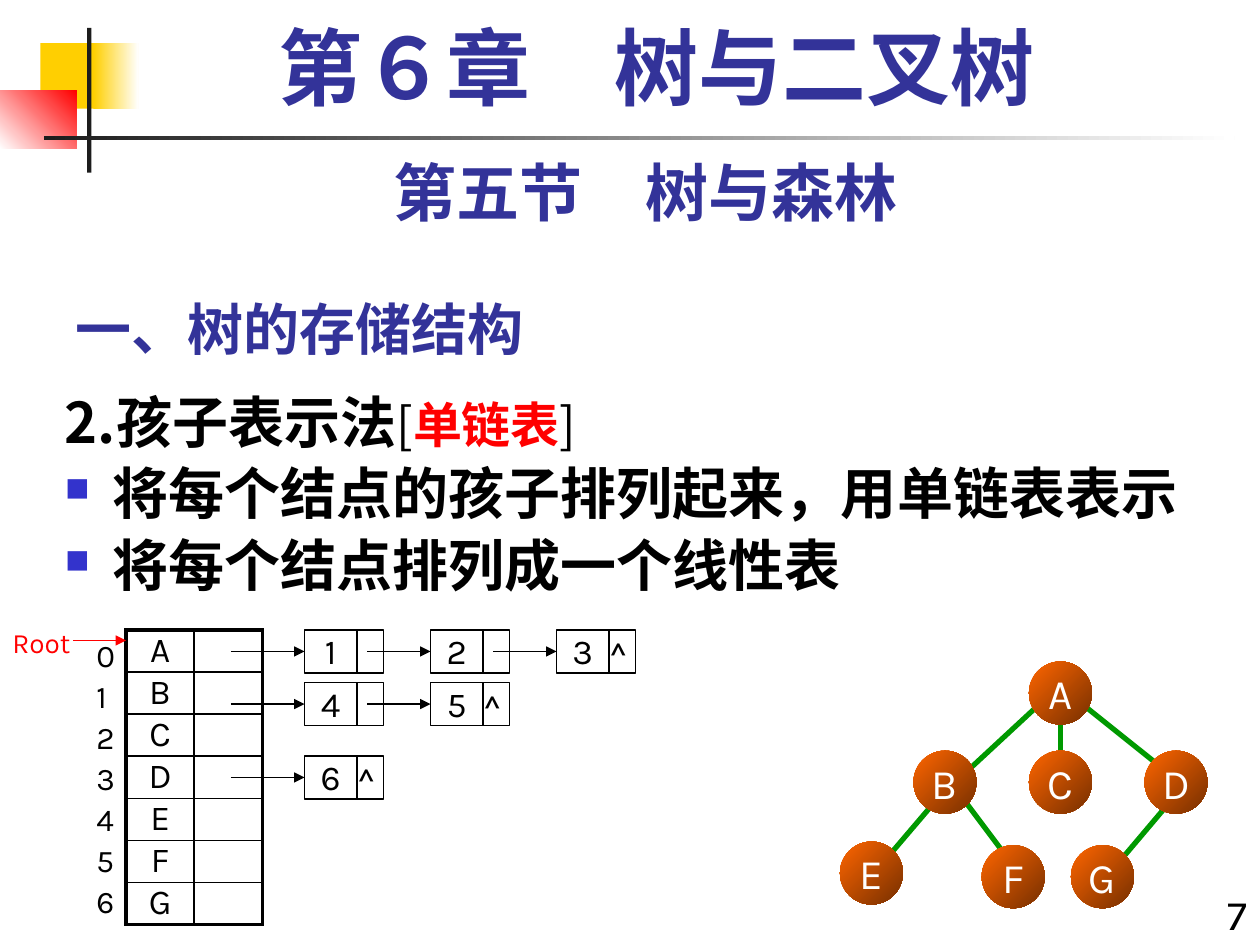
from dataclasses import dataclass
from lxml import etree
from pptx import Presentation
from pptx.dml.color import RGBColor
from pptx.enum.shapes import MSO_CONNECTOR, MSO_SHAPE
from pptx.enum.text import MSO_ANCHOR, MSO_AUTO_SIZE, PP_ALIGN
from pptx.oxml.ns import qn
from pptx.util import Emu, Inches, Pt

RECTANGLE, OVAL = MSO_SHAPE.RECTANGLE, MSO_SHAPE.OVAL
STRAIGHT = MSO_CONNECTOR.STRAIGHT
LEFT, CENTER, RIGHT = PP_ALIGN.LEFT, PP_ALIGN.CENTER, PP_ALIGN.RIGHT
TOP, MIDDLE, BOTTOM = MSO_ANCHOR.TOP, MSO_ANCHOR.MIDDLE, MSO_ANCHOR.BOTTOM
GROW = MSO_AUTO_SIZE.SHAPE_TO_FIT_TEXT
LEFT_SIDE = 1

BLACK, WHITE = RGBColor(0, 0, 0), RGBColor(255, 255, 255)
CHARCOAL = RGBColor(0x1C, 0x1C, 0x1C)
RED, YELLOW = RGBColor(255, 0, 0), RGBColor(0xFF, 0xCF, 0x01)
NAVY, BULLET_BLUE = RGBColor(0x33, 0x33, 0x99), RGBColor(0x33, 0x33, 0xCC)
ORANGE, BROWN = RGBColor(0xFF, 0x66, 0), RGBColor(0x76, 0x2F, 0)
GREEN = RGBColor(0, 0x99, 0)
LATIN, CHINESE, SERIF = "Karla", "Noto Sans CJK SC", "Times New Roman"

# The slide is a grid of 240 columns by 180 rows
COLUMNS, ROWS = 240, 180
UNIT = Inches(10) / COLUMNS


@dataclass
class Box:
    left: float
    top: float
    width: float
    height: float

    def lengths(self) -> list[Emu]:
        return [grid(n) for n in (self.left, self.top, self.width, self.height)]


@dataclass
class Run:
    text: str
    size: float
    color: RGBColor = BLACK
    font: str = LATIN
    bold: bool = False


@dataclass
class Line:
    runs: list[Run]
    align: PP_ALIGN = LEFT
    before: int = 0  # percent of a line
    spacing: float | None = None
    hanging: bool = False
    bullet: bool = False


def grid(units: float) -> Emu:
    return Emu(round(units * UNIT))


def add_child(parent, tag: str, **attributes):
    return etree.SubElement(parent, qn(tag), attributes)


def write(frame, lines: list[Line]) -> None:
    for number, line in enumerate(lines):
        paragraph = frame.add_paragraph() if number else frame.paragraphs[0]
        paragraph.alignment = line.align
        if line.spacing:
            paragraph.line_spacing = line.spacing
        properties = paragraph._p.get_or_add_pPr()
        if line.hanging:
            properties.set("marL", str(Inches(0.38)))
            properties.set("indent", str(-Inches(0.38)))
        if line.before:
            add_child(add_child(properties, "a:spcBef"), "a:spcPct", val=str(line.before * 1000))
        if line.bullet:
            add_child(add_child(properties, "a:buClr"), "a:srgbClr", val=str(BULLET_BLUE))
            add_child(properties, "a:buSzPct", val="60000")
            add_child(properties, "a:buChar", char="■")
        for item in line.runs:
            run = paragraph.add_run()
            run.text = item.text
            run.font.size, run.font.bold, run.font.name = Pt(item.size), item.bold, item.font
            run.font.color.rgb = item.color
            add_child(run._r.get_or_add_rPr(), "a:ea", typeface=CHINESE)


def set_frame(frame, anchor=TOP, margins=(0.1, 0.05), wrap=True, grow=False) -> None:
    frame.word_wrap, frame.vertical_anchor = wrap, anchor
    frame.margin_left = frame.margin_right = Inches(margins[0])
    frame.margin_top = frame.margin_bottom = Inches(margins[1])
    if grow:
        frame.auto_size = GROW


def add_text(shapes, box: Box, lines: list[Line], anchor=TOP, grow=False) -> None:
    frame = shapes.add_textbox(*box.lengths()).text_frame
    set_frame(frame, anchor, grow=grow)
    write(frame, lines)


def add_block(shapes, box: Box, colors=(), clockwise=0, kind=RECTANGLE, outline=None):
    """Add a shape with no colour, one colour or a two-colour gradient."""
    shape = shapes.add_shape(kind, *box.lengths())
    shape.shadow.inherit = False
    if len(colors) == 2:
        shape.fill.gradient()
        shape.fill.gradient_angle = (360 - clockwise) % 360
        for stop, color in zip(shape.fill.gradient_stops, colors):
            stop.color.rgb = color
    elif colors:
        shape.fill.solid()
        shape.fill.fore_color.rgb = colors[0]
    else:
        shape.fill.background()
    if outline is None:
        shape.line.fill.background()
    else:
        shape.line.color.rgb, shape.line.width = outline, Pt(0.75)
    return shape


def add_line(shapes, start, end, color: RGBColor, width: float, arrow=False):
    line = shapes.add_connector(STRAIGHT, *(grid(n) for n in (*start, *end)))
    line.line.color.rgb, line.line.width = color, Pt(width)
    if arrow:
        add_child(line.line._get_or_add_ln(), "a:tailEnd", type="triangle")
    add_child(line._element.spPr, "a:effectLst")
    return line


def add_list_node(shapes, left: float, top: float, label: str, last: bool):
    group = shapes.add_group_shape().shapes
    data = add_block(group, Box(left, top, 10, 8.2), outline=BLACK)
    pointer = add_block(group, Box(left + 10, top, 5, 8.2), outline=BLACK)
    texts = [(data, label, CENTER)] + ([(pointer, "^", LEFT)] if last else [])
    for shape, text, align in texts:
        set_frame(shape.text_frame, margins=(0, 0), grow=True)
        write(shape.text_frame, [Line([Run(text, 20)], align, 50)])
    return data


def add_node_table(shapes, left: float, top: float, labels: str) -> None:
    row_height, column_width = 7.8, 13
    box = Box(left, top, 2 * column_width, row_height * len(labels))
    table = shapes.add_table(len(labels), 2, *box.lengths()).table
    table.first_row = table.horz_banding = False
    for row, label in enumerate(labels):
        table.rows[row].height = grid(row_height)
        for column in range(2):
            cell = table.cell(row, column)
            cell.margin_top = cell.margin_bottom = 0
            outer = {"L": column == 0, "R": column == 1,
                     "T": row == 0, "B": row == len(labels) - 1}
            for side, thick in outer.items():
                border = add_child(cell._tc.get_or_add_tcPr(), f"a:ln{side}",
                                   w=str(Pt(2.25 if thick else 1)))
                add_child(add_child(border, "a:solidFill"), "a:srgbClr", val=str(BLACK))
            cell.fill.background()
        write(table.cell(row, 0).text_frame, [Line([Run(label, 20)], CENTER, 20)])


presentation = Presentation()
presentation.slide_width, presentation.slide_height = grid(COLUMNS), grid(ROWS)
slide = presentation.slides.add_slide(presentation.slide_layouts[6])
shapes = slide.shapes

# Corner decoration and rules
for box, colors, clockwise in [
    (Box(7.7, 8.2, 11.5, 12.5), (YELLOW,), 0),
    (Box(17.8, 8.2, 8.6, 12.5), (YELLOW, WHITE), 0),
    (Box(0, 17.3, 14.6, 11), (WHITE, RED), 315),
    (Box(16.6, 5.3, 0.8, 27.6), (CHARCOAL,), 0),
    (Box(8.4, 25.9, 226.8, 0.8), (CHARCOAL, WHITE), 0),
]:
    add_block(shapes, box, colors, clockwise)

# Headings, page number and body
add_text(shapes, Box(12, 52, 150, 18),
         [Line([Run("一、树的存储结构", 32, NAVY, CHINESE, True)])], BOTTOM)
add_text(shapes, Box(224, 168, 16, 12), [Line([Run("7", 24)], RIGHT, 50)], grow=True)
add_text(shapes, Box(12, 28, 222, 16.8),
         [Line([Run("第五节　树与森林", 36, NAVY, LATIN, True)], CENTER, 50)], grow=True)
heading = [Run("2.孩子表示法", 32, BLACK, CHINESE, True), Run("[", 28, BLACK, CHINESE),
           Run("单链表", 28, RED, CHINESE, True), Run("]", 28, BLACK, CHINESE)]
points = ["将每个结点的孩子排列起来，用单链表表示", "将每个结点排列成一个线性表"]
add_text(shapes, Box(10, 74, 230, 106), [Line(heading, LEFT, 20, 0.9, True)] + [
    Line([Run(point, 32, BLACK, CHINESE, True)], LEFT, 20, 0.9, True, True) for point in points])
add_text(shapes, Box(16, 4, 218, 20),
         [Line([Run("第６章　树与二叉树", 48, NAVY, SERIF, True)], CENTER, 20, 0.9, True)])

# Tree: edges behind, nodes in front
tree = shapes.add_group_shape().shapes
for start, end in [
    ((205, 133.2), (220, 145.2)), ((199, 133.2), (184, 147.1)), ((202, 137.5), (202, 143.5)),
    ((181, 149.3), (170, 162.2)), ((182, 150.2), (191, 162.2)), ((225, 150.2), (214, 163.2)),
]:
    add_line(tree, start, end, GREEN, 3)
for label, left, top in [("A", 196, 126), ("B", 174, 143), ("C", 196, 143), ("D", 218, 143),
                         ("E", 160, 160.3), ("F", 187, 161), ("G", 204, 161)]:
    node = add_block(tree, Box(left, top, 12, 12), (ORANGE, BROWN), 45, OVAL)
    set_frame(node.text_frame, MIDDLE, (0, 0.05), wrap=False)
    write(node.text_frame, [Line([Run(label, 24, WHITE)], CENTER)])

# Node table with its indexes and root pointer
add_node_table(shapes, 24, 120, "ABCDEFG")
add_text(shapes, Box(16, 120, 10, 57),
         [Line([Run(str(index), 18)], LEFT, 10) for index in range(7)], grow=True)
add_line(shapes, (14, 122), (24, 122), RED, 0.75, arrow=True)
add_text(shapes, Box(0, 118, 16, 8.9), [Line([Run("Root", 16, RED)], LEFT, 50)], grow=True)

# Linked lists of children
for top, labels in [(120, "123"), (130, "45"), (144, "6")]:
    for index, label in enumerate(labels):
        left = 58 + 24 * index
        data = add_list_node(shapes, left, top, label, index == len(labels) - 1)
        middle = top + 4.1
        tail = left - 12 if index else 44
        arrow = add_line(shapes, (tail, middle), (left, middle), BLACK, 0.75, arrow=True)
        arrow.end_connect(data, LEFT_SIDE)

presentation.save("out.pptx")
